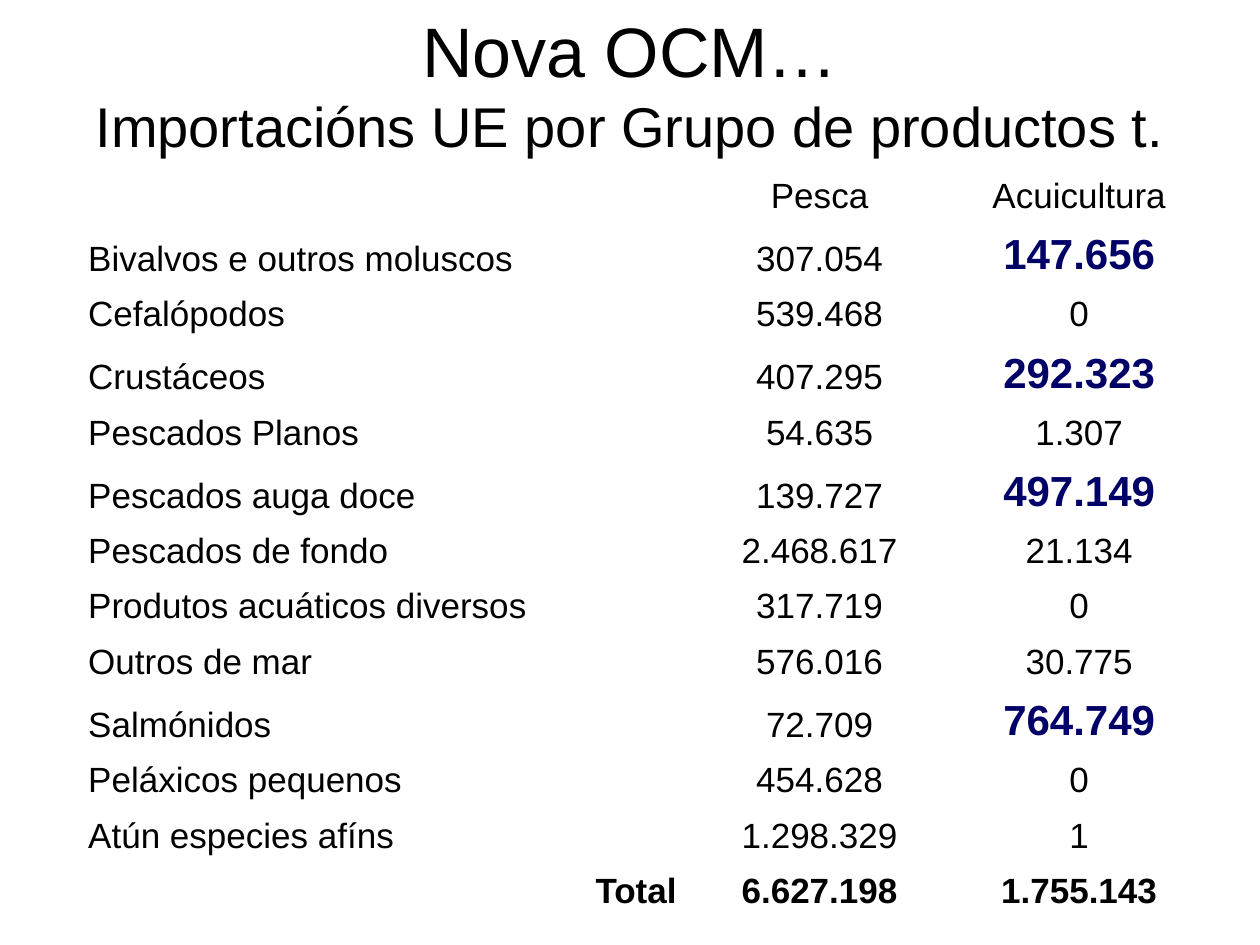
from dataclasses import dataclass

from pptx import Presentation
from pptx import util as u
from pptx.dml.color import RGBColor
from pptx.enum import text
from pptx.oxml import ns

Inches, Pt = u.Inches, u.Pt


@dataclass(frozen=True)
class Theme:
    font: str = "Arial"
    ink: str = "000000"
    accent: str = "000066"
    title: int = 40
    subtitle: int = 32
    body: int = 20
    strong: int = 24


T = Theme()
LEFT, CENTER, RIGHT = text.PP_ALIGN.LEFT, text.PP_ALIGN.CENTER, text.PP_ALIGN.RIGHT
NO_STYLE_NO_GRID = "{2D5ABB26-0587-4C30-8999-92F81FD0307C}"

HEADER = ("", "Pesca", "Acuicultura")
IMPORTS = [
    ("Bivalvos e outros moluscos", "307.054", "147.656"),
    ("Cefalópodos", "539.468", "0"),
    ("Crustáceos", "407.295", "292.323"),
    ("Pescados Planos", "54.635", "1.307"),
    ("Pescados auga doce", "139.727", "497.149"),
    ("Pescados de fondo", "2.468.617", "21.134"),
    ("Produtos acuáticos diversos", "317.719", "0"),
    ("Outros de mar", "576.016", "30.775"),
    ("Salmónidos", "72.709", "764.749"),
    ("Peláxicos pequenos", "454.628", "0"),
    ("Atún especies afíns", "1.298.329", "1"),
]
TOTAL = ("Total", "6.627.198", "1.755.143")
HIGHLIGHTS = {"147.656", "292.323", "497.149", "764.749"}


def add_run(p, words, size, color=T.ink, bold=False):
    r = p.add_run()
    r.text = words
    formats = {"name": T.font, "size": Pt(size), "bold": bold}
    for name, value in formats.items():
        setattr(r.font, name, value)
    r.font.color.rgb = RGBColor.from_string(color)


def add_title(s, left, top, width, height):
    tf = s.shapes.add_textbox(left, top, width, height).text_frame
    formats = {"word_wrap": True, "vertical_anchor": text.MSO_ANCHOR.TOP,
               "margin_top": Inches(0.05)}
    for name, value in formats.items():
        setattr(tf, name, value)
    p = tf.paragraphs[0]
    p.alignment = CENTER
    add_run(p, "Nova OCM…", T.title)
    p.add_line_break()
    add_run(p, "Importacións UE por Grupo de productos t.", T.subtitle)


def fill_cell(cell, words, align, bold):
    formats = {"vertical_anchor": text.MSO_ANCHOR.BOTTOM,
               "margin_left": Inches(0.1), "margin_right": Inches(0.1),
               "margin_top": Inches(0.07), "margin_bottom": Inches(0.05)}
    for name, value in formats.items():
        setattr(cell, name, value)
    cell.fill.background()
    if not words:
        return
    p = cell.text_frame.paragraphs[0]
    p.alignment, p.line_spacing = align, 0.93
    # Hanging indent
    pPr = p._p.get_or_add_pPr()
    pPr.set("marL", str(Inches(0.38)))
    pPr.set("indent", str(Inches(-0.37)))
    if words in HIGHLIGHTS:
        add_run(p, words, T.strong, T.accent, True)
    else:
        add_run(p, words, T.body, bold=bold)


def add_imports_table(s, left, top, width, height):
    rows = [HEADER, *IMPORTS, TOTAL]
    table = s.shapes.add_table(len(rows), 3, left, top, width, height).table
    table.first_row = table.horz_banding = False
    # A style without borders keeps the subtitle above the header row clear
    table._tbl.tblPr.find(ns.qn("a:tableStyleId")).text = NO_STYLE_NO_GRID

    # The label column takes what the two value columns leave
    value_width = Inches(2.06)
    for column, w in zip(table.columns, (width - 2 * value_width, value_width, value_width)):
        column.width = w

    for i, row in enumerate(rows):
        is_total = row is TOTAL
        highlighted = row[2] in HIGHLIGHTS
        table.rows[i].height = Inches(0.69 if i == 0 else 0.5 if highlighted else 0.44)
        label_align = RIGHT if is_total else LEFT
        for j, words in enumerate(row):
            fill_cell(table.cell(i, j), words, CENTER if j else label_align, is_total)


def main():
    prs = Presentation()
    prs.slide_width, prs.slide_height = Inches(10), Inches(7.5)
    s = prs.slides.add_slide(prs.slide_layouts[6])
    add_title(s, Inches(0.5), Inches(0.01), Inches(9), Inches(1.84))
    add_imports_table(s, Inches(0.59), Inches(1.07), Inches(9), Inches(6.2))
    prs.save("out.pptx")


if __name__ == "__main__":
    main()
